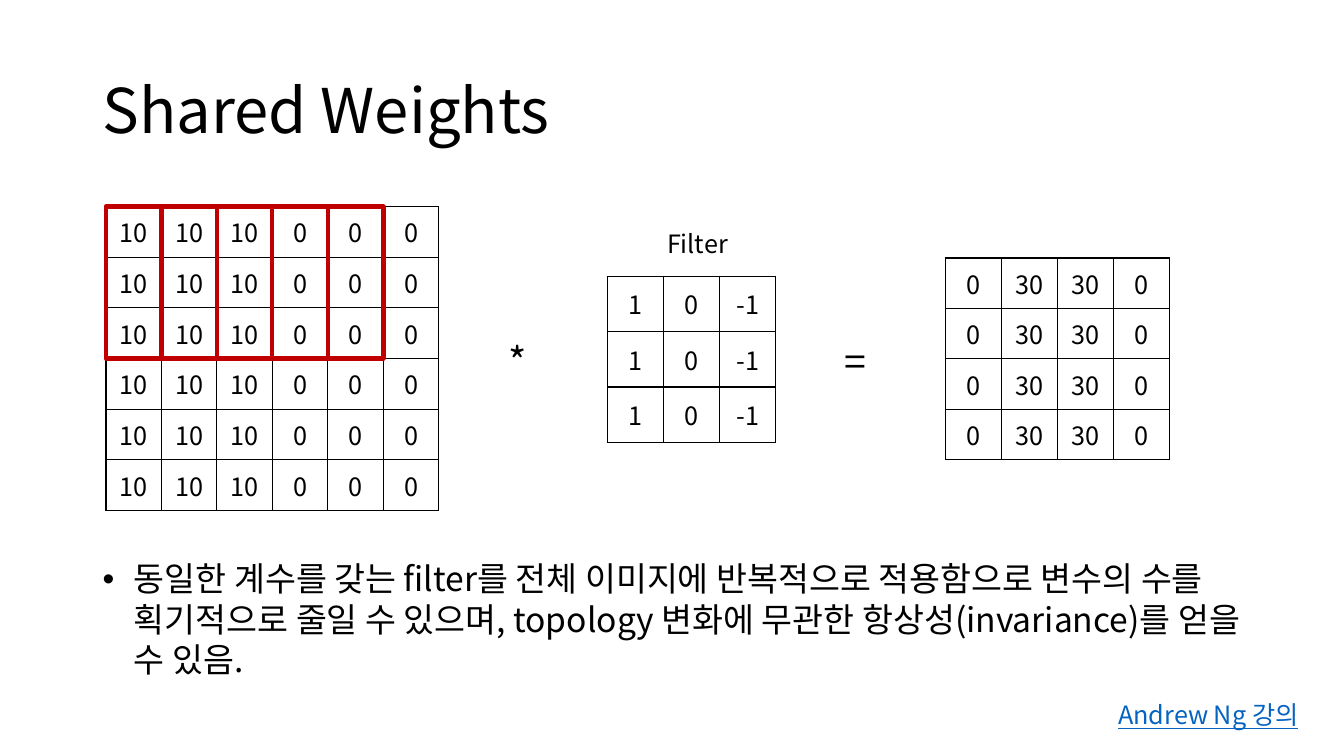
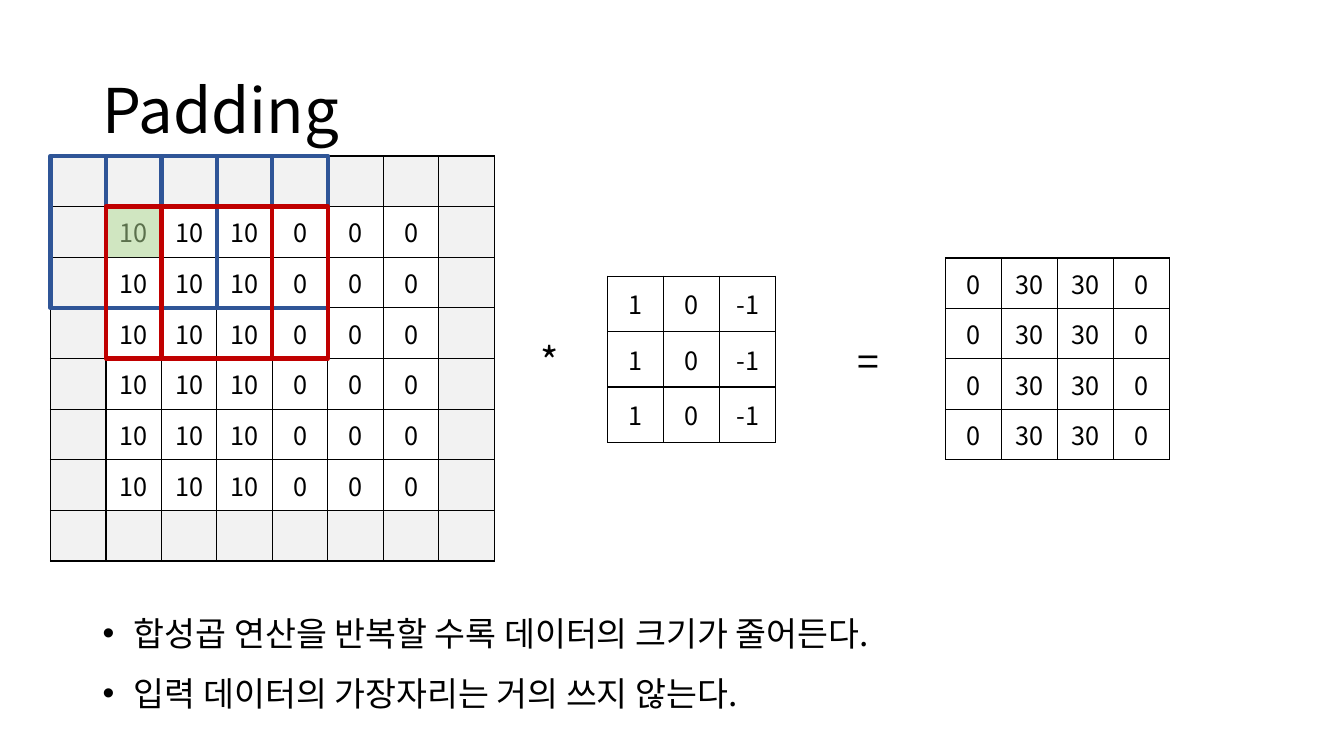
from itertools import product

from lxml.etree import SubElement
from pptx import Presentation
from pptx.dml.color import RGBColor
from pptx.enum.shapes import MSO_SHAPE as Shape
from pptx.enum.text import MSO_ANCHOR as Anchor, PP_ALIGN as Align
from pptx.oxml.ns import qn
from pptx.util import Inches, Pt

# Shared style; areas are left, top, width, height in percent of the slide
WIDTH, HEIGHT = 13.33, 7.5
FONT = "Noto Sans CJK KR"
BLACK, RED, BLUE, LINK = "000000", "C00000", "2F5597", "0563C1"
GREY, GREEN = "F2F2F2", "A9D18E"
PLAIN_TABLE = "{2D5ABB26-0587-4C30-8999-92F81FD0307C}"
TITLE_AREA = (6.9, 5.33, 86.25, 19.33)
FILTER_AREA = (45.22, 36.53, 12.5, 22)
OUTPUT_AREA = (70.35, 34.13, 16.65, 26.67)

# Input grid: its corner and one cell, in percent
GRID_LEFT, GRID_TOP, CELL_WIDTH, CELL_HEIGHT = 7.88, 27.33, 4.13, 6.7

# Matrices
INPUT = [[10] * 3 + [0] * 3] * 6
FILTER = [[1, 0, -1]] * 3
OUTPUT = [[0, 30, 30, 0]] * 4
RIM = [[""] * 8] + [[""] + [None] * 6 + [""]] * 6 + [[""] * 8]


def color(code):
    return RGBColor.from_string(code)


def cells(column, row, columns, rows):
    """Area covered by cells of the input grid."""
    return (GRID_LEFT + column * CELL_WIDTH, GRID_TOP + row * CELL_HEIGHT,
            columns * CELL_WIDTH, rows * CELL_HEIGHT)


def assign(target, values):
    for name, value in values.items():
        setattr(target, name, value)


class Slides:
    def __init__(self):
        self.deck = Presentation()
        assign(self.deck, {"slide_width": Inches(WIDTH), "slide_height": Inches(HEIGHT)})
        self.page = None

    def add_page(self, title):
        self.page = self.deck.slides.add_slide(self.deck.slide_layouts[6])
        self.text(TITLE_AREA, [title], 44, anchor=Anchor.MIDDLE, line_spacing=0.9)

    def place(self, area):
        return [Inches(share * side / 100)
                for share, side in zip(area, (WIDTH, HEIGHT) * 2)]

    def add_words(self, para, words, size, tint=BLACK, underline=None, **layout):
        assign(para, layout)
        span = para.add_run()
        span.text = words
        assign(span.font, {"name": FONT, "size": Pt(size), "underline": underline})
        span.font.color.rgb = color(tint)
        SubElement(span.font._element, qn("a:ea"), typeface=FONT)

    def text(self, area, lines, size, anchor=Anchor.TOP, bullet=False, **style):
        frame = self.page.shapes.add_textbox(*self.place(area)).text_frame
        assign(frame, {"word_wrap": True, "vertical_anchor": anchor})
        for number, words in enumerate(lines):
            para = frame.add_paragraph() if number else frame.paragraphs[0]
            self.add_words(para, words, size, **style)
            if bullet:
                props = para._p.get_or_add_pPr()
                props.set("marL", str(Inches(0.31)))
                props.set("indent", str(-Inches(0.31)))
                SubElement(props, qn("a:buFont"), typeface="Arial")
                SubElement(props, qn("a:buChar"), char="•")

    def bullets(self, top, height, lines, **style):
        self.text((6.9, top, 87.9, height), lines, 24, bullet=True, **style)

    def matrix(self, area, values, fill=None):
        """Table of equal cells; a None value leaves its cell bare."""
        rows, columns = len(values), len(values[0])
        left, top, width, height = self.place(area)
        table = self.page.shapes.add_table(rows, columns, left, top, width, height).table
        assign(table, {"first_row": False, "horz_banding": False})
        table._tbl.tblPr.find(qn("a:tableStyleId")).text = PLAIN_TABLE
        for row, column in product(range(rows), range(columns)):
            value = values[row][column]
            if value is None:
                continue
            cell = table.cell(row, column)
            self.borders(cell)
            if fill:
                cell.fill.solid()
                cell.fill.fore_color.rgb = color(fill)
            else:
                cell.fill.background()
            cell.vertical_anchor = Anchor.MIDDLE
            if value != "":
                self.add_words(cell.text_frame.paragraphs[0], str(value), 18,
                               alignment=Align.CENTER)

    def borders(self, cell):
        props = cell._tc.get_or_add_tcPr()
        for side in "LRTB":
            edge = SubElement(props, qn(f"a:ln{side}"), w=str(Pt(1)))
            SubElement(SubElement(edge, qn("a:solidFill")), qn("a:srgbClr"), val=BLACK)

    def box(self, area):
        box = self.page.shapes.add_shape(Shape.RECTANGLE, *self.place(area))
        box.shadow.inherit = False
        return box

    def window(self, column, row, tint):
        """Outline of a 3 x 3 filter position."""
        box = self.box(cells(column, row, 3, 3))
        box.fill.background()
        box.line.color.rgb = color(tint)
        box.line.width = Pt(3)

    def highlight(self, column, row, tint, opacity):
        box = self.box(cells(column, row, 1, 1))
        box.line.fill.background()
        box.fill.solid()
        box.fill.fore_color.rgb = color(tint)
        tone = box._element.spPr.find(qn("a:solidFill"))[0]
        SubElement(tone, qn("a:alpha"), val=str(opacity * 1000))

    def convolution(self, star_left, equals_left):
        """Input * filter = output."""
        for area, values in ((cells(0, 0, 6, 6), INPUT), (FILTER_AREA, FILTER),
                             (OUTPUT_AREA, OUTPUT)):
            self.matrix(area, values)
        for left, sign in ((star_left, "*"), (equals_left, "=")):
            self.text((left, 43.9, 5.1, 7.6), [sign], 28, Anchor.MIDDLE,
                      alignment=Align.CENTER)


slides = Slides()

# Shared weights
slides.add_page("Shared Weights")
slides.convolution(star_left=35.93, equals_left=61.07)
for step in range(3):
    slides.window(step, 0, RED)
slides.text((46.9, 29.6, 10, 5.33), ["Filter"], 18, alignment=Align.CENTER)
slides.bullets(73.2, 17.5, [
    "동일한 계수를 갖는 filter를 전체 이미지에 반복적으로 적용함으로 변수의 수를 "
    "획기적으로 줄일 수 있으며, topology 변화에 무관한 항상성(invariance)를 얻을 수 있음."])
slides.text((48.9, 91.87, 48.45, 5.33), ["Andrew Ng 강의"], 18,
            tint=LINK, underline=True, alignment=Align.RIGHT)

# Padding
slides.add_page("Padding")
slides.matrix(cells(-1, -1, 8, 8), RIM, GREY)
slides.convolution(star_left=38.33, equals_left=62.04)
slides.bullets(77.73, 16.4, ["합성곱 연산을 반복할 수록 데이터의 크기가 줄어든다.",
                             "입력 데이터의 가장자리는 거의 쓰지 않는다."],
               line_spacing=1.5)
slides.highlight(0, 0, GREEN, 54)
for step in range(3):
    slides.window(step - 1, -1, BLUE)
for step in range(2):
    slides.window(step, 0, RED)

slides.deck.save("out.pptx")
